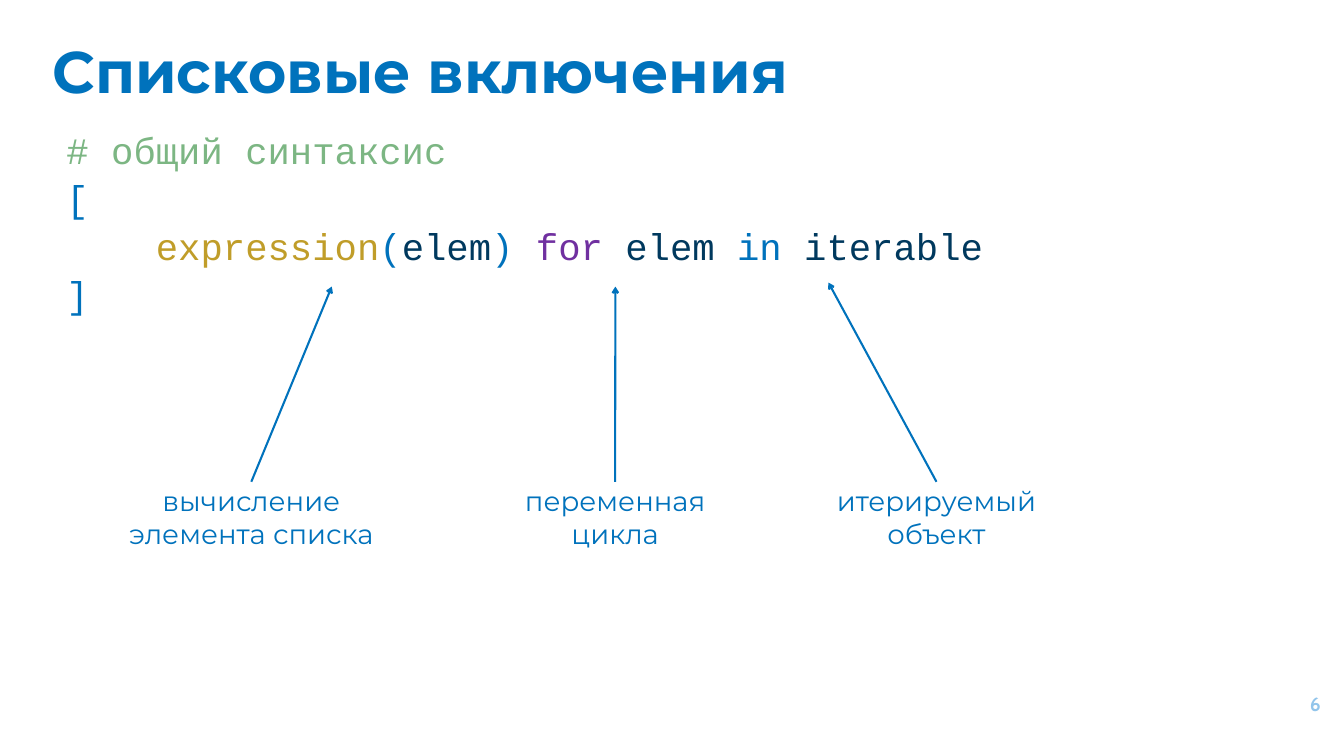
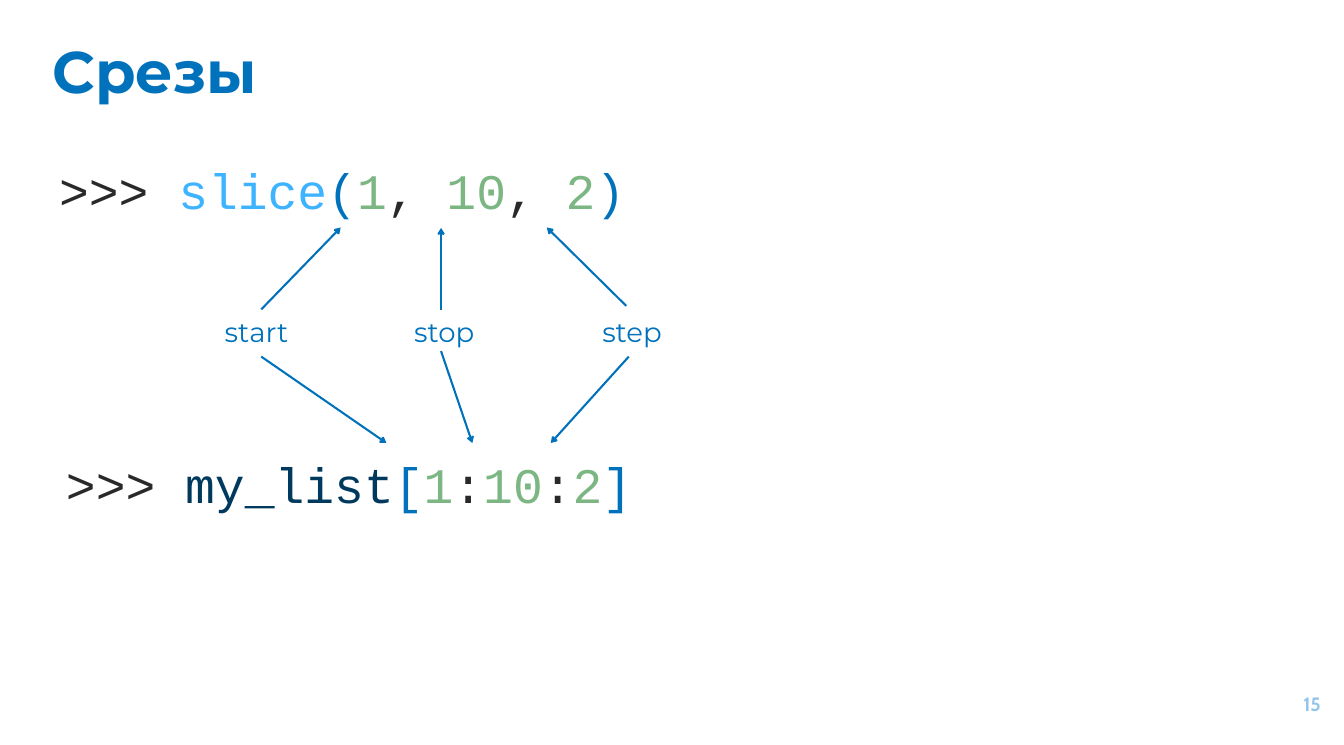
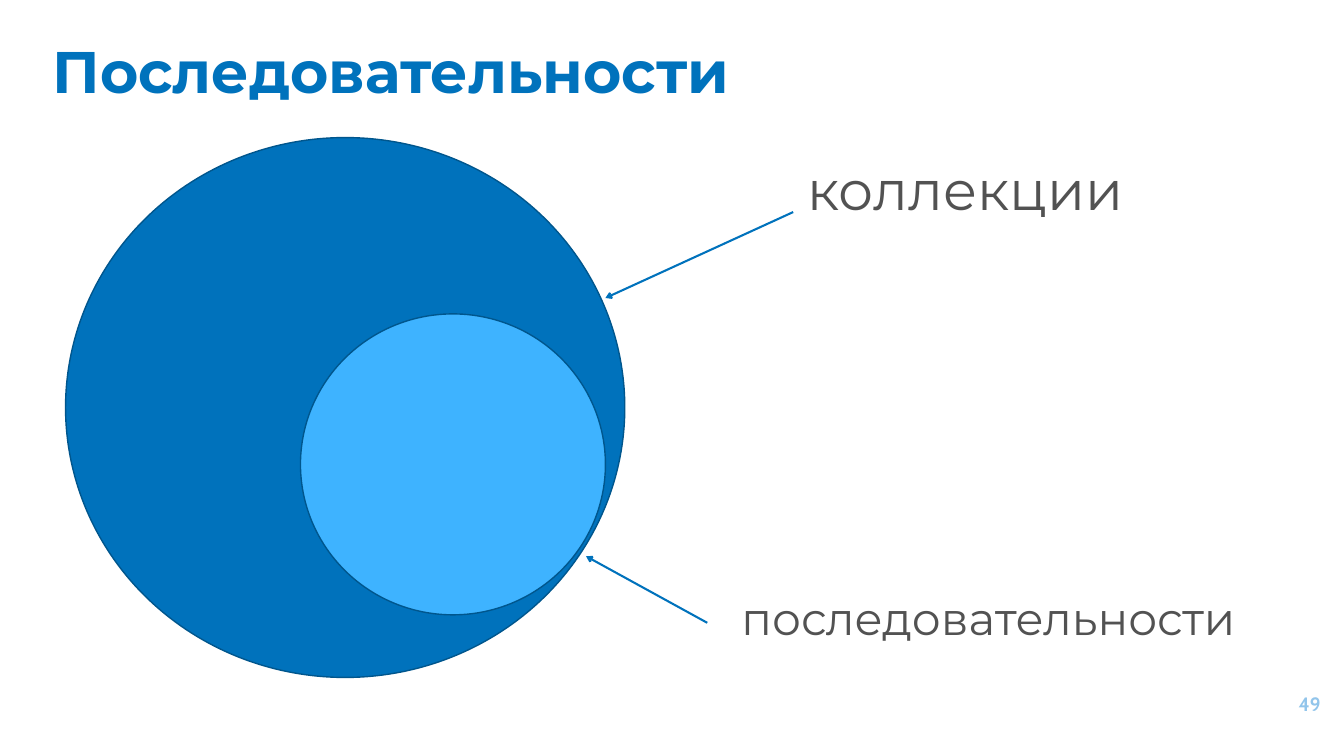
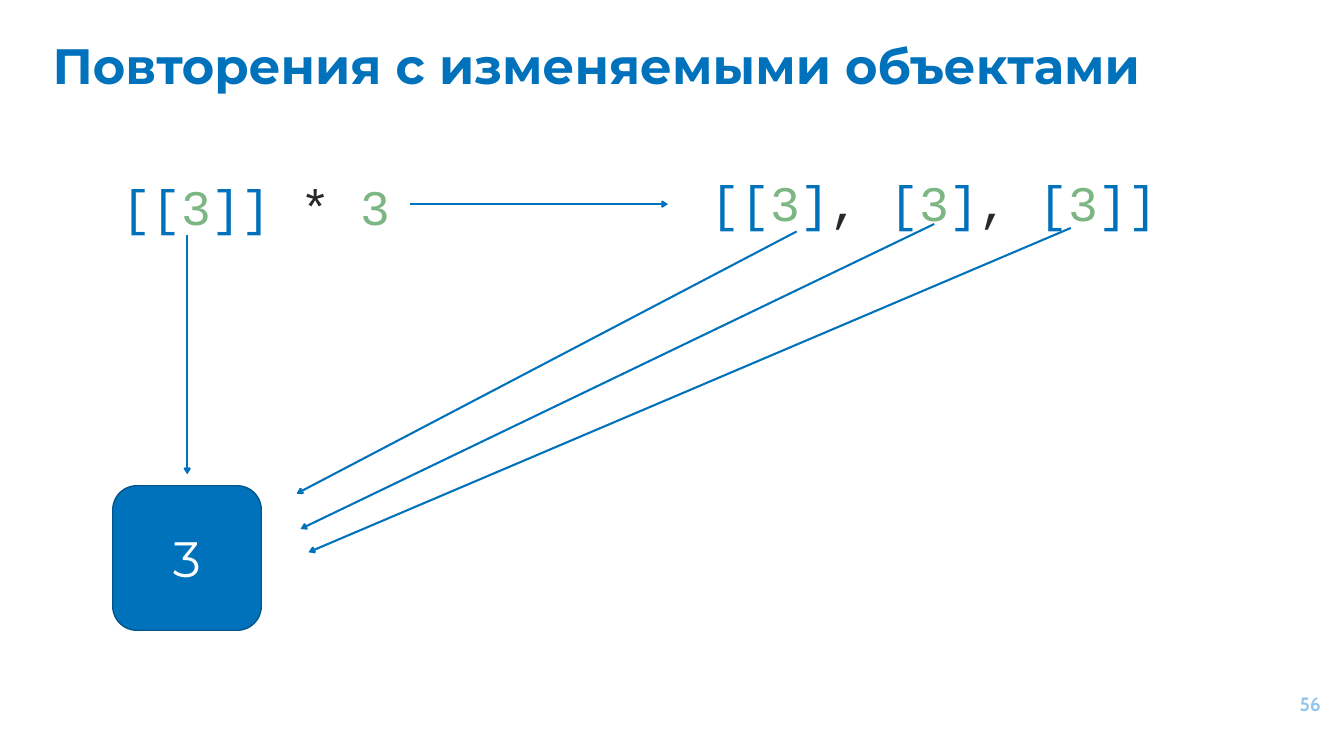
from lxml.etree import SubElement
from pptx import Presentation
from pptx.dml.color import RGBColor
from pptx.enum.shapes import MSO_CONNECTOR as Connector, MSO_SHAPE as Shape
from pptx.enum.text import MSO_ANCHOR as Anchor, MSO_AUTO_SIZE as AutoSize, PP_ALIGN as Align
from pptx.oxml.ns import qn
from pptx.util import Inches, Pt

COLUMNS, ROWS = 27.06, 15
CELL = Inches(1)
TITLE_ONLY = 5
BLUE, SKY, NAVY, EDGE = "0072BC", "3EB3FF", "00395E", "00568D"
GREEN, GOLD, PURPLE = "7CB683", "C09D29", "7030A0"
INK, GREY, PALE, WHITE = "292929", "525252", "92C5EB", "FFFFFF"
SANS, MONO, NUMERAL = "Montserrat", "Courier New", "Cabin"


def grid(*cells):
    return [round(cell * CELL) for cell in cells]


def color(value):
    return RGBColor.from_string(value)


def write(para, text, size=40, font=SANS, ink=BLUE, bold=False):
    span = para.add_run()
    span.text = text
    span.font.size = Pt(size)
    span.font.name = font
    span.font.bold = bold
    span.font.color.rgb = color(ink)


class Lecture:
    """Holds the lecture style and the slide being filled."""

    def __init__(self):
        self.deck = Presentation()
        self.deck.slide_width, self.deck.slide_height = grid(COLUMNS, ROWS)
        self.page = None

    def start(self, title, number, width=23.93, size=85):
        self.page = self.deck.slides.add_slide(self.deck.slide_layouts[TITLE_ONLY])
        heading = self.page.shapes.title
        heading.left, heading.top, heading.width, heading.height = grid(0.96, 0.61, width, 1.92)
        para = self.frame(heading, Align.LEFT, Anchor.TOP, AutoSize.NONE, inset=0.1)
        write(para, title, size=size, bold=True)
        para = self.text_box((25.07, 13.6, 1.62, 1.15), Align.RIGHT, Anchor.MIDDLE,
                             AutoSize.NONE, inset=0.1)[1]
        write(para, str(number), size=28, font=NUMERAL, ink=PALE, bold=True)

    def frame(self, box, align, anchor, fit, inset=0.05):
        frame = box.text_frame
        frame.word_wrap = True
        frame.auto_size = fit
        frame.vertical_anchor = anchor
        frame.margin_top = frame.margin_bottom = Inches(inset)
        frame.margin_left = frame.margin_right = Inches(0.1)
        para = frame.paragraphs[0]
        para.alignment = align
        return para

    def text_box(self, place, align=Align.CENTER, anchor=Anchor.TOP,
                 fit=AutoSize.SHAPE_TO_FIT_TEXT, inset=0.05):
        box = self.page.shapes.add_textbox(*grid(*place))
        return box, self.frame(box, align, anchor, fit, inset)

    def label(self, text, place, **style):
        box, para = self.text_box(place)
        write(para, text, **style)
        return box

    def code(self, lines, place, size=72, align=Align.LEFT, fit=AutoSize.SHAPE_TO_FIT_TEXT):
        box, para = self.text_box(place, align, fit=fit)
        for index, line in enumerate(lines):
            if index:
                para = box.text_frame.add_paragraph()
                para.alignment = align
            para.line_spacing = 1.07
            for text, ink in line:
                write(para, text, size=size, font=MONO, ink=ink)

    def shape(self, kind, place, fill=BLUE, text=""):
        box = self.page.shapes.add_shape(kind, *grid(*place))
        box.shadow.inherit = False
        box.fill.solid()
        box.fill.fore_color.rgb = color(fill)
        box.line.color.rgb = color(EDGE)
        box.line.width = Pt(2)
        if text:
            para = self.frame(box, Align.CENTER, Anchor.MIDDLE, AutoSize.NONE)
            write(para, text, size=72, ink=WHITE)

    def arrow(self, start, end, source=None):
        line = self.page.shapes.add_connector(Connector.STRAIGHT, *grid(*start, *end))
        if source is not None:
            line.begin_connect(source, 0)
        line.line.color.rgb = color(BLUE)
        line.line.width = Pt(3)
        SubElement(line.line._get_or_add_ln(), qn("a:tailEnd"), type="arrow")
        SubElement(line._element.spPr, qn("a:effectLst"))


def comprehensions(lecture):
    lecture.start("Списковые включения", 6, width=16.65)
    lecture.code([
        [("# общий синтаксис", GREEN)],
        [("[", BLUE)],
        [("    ", INK), ("expression", GOLD), ("(", BLUE), ("elem", NAVY), (") ", BLUE),
         ("for ", PURPLE), ("elem ", NAVY), ("in ", BLUE), ("iterable", NAVY)],
        [("]", BLUE)],
    ], (1.24, 2.46, 20.6, 4.02), size=54, fit=AutoSize.NONE)
    top = 9.7
    for text, left, width, tip in [
        ("вычисление элемента списка", 1.8, 6.52, (6.68, 5.77)),
        ("переменная цикла", 10.22, 4.33, (12.39, 5.77)),
        ("итерируемый объект", 16.44, 4.83, (16.68, 5.69)),
    ]:
        box = lecture.label(text, (left, top, width, 1.45))
        lecture.arrow((left + width / 2, top), tip, source=box)


def slices(lecture):
    lecture.start("Срезы", 15)
    lecture.code([[(">>> ", INK), ("slice", SKY), ("(", BLUE), ("1", GREEN), (", ", INK),
                   ("10", GREEN), (", ", INK), ("2", GREEN), (")", BLUE)]],
                 (1.09, 3.09, 14.52, 1.31))
    lecture.code([[(">>> ", INK), ("my_list", NAVY), ("[", BLUE), ("1", GREEN), (":", INK),
                   ("10", GREEN), (":", INK), ("2", GREEN), ("]", BLUE)]],
                 (1.23, 9, 14.52, 1.31))
    for index, (name, above, call, below, item) in enumerate([
        ("start", (5.26, 6.23), (6.86, 4.58), (5.26, 7.18), (7.78, 8.92)),
        ("stop", (8.88, 6.24), (8.88, 4.59), (8.88, 7.07), (9.51, 8.92)),
        ("step", (12.61, 6.16), (11.01, 4.58), (12.66, 7.18), (11.09, 8.92)),
    ]):
        lecture.label(name, (4.08 + 3.78 * index, 6.3, 2.17, 0.77))
        lecture.arrow(above, call)
        lecture.arrow(below, item)


def sequences(lecture):
    lecture.start("Последовательности", 49)
    lecture.shape(Shape.OVAL, (1.32, 2.77, 11.26, 10.87))
    lecture.shape(Shape.OVAL, (6.05, 6.32, 6.14, 6.06), fill=SKY)
    lecture.label("коллекции", (14.87, 3.08, 9.13, 1.45), size=80, ink=GREY)
    lecture.label("последовательности", (13.92, 11.83, 11.96, 1.21), size=66, ink=GREY)
    lecture.arrow((15.97, 4.27), (12.19, 6))
    lecture.arrow((14.24, 12.54), (11.8, 11.2))


def repetitions(lecture):
    lecture.start("Повторения с изменяемыми объектами", 56, width=24.69, size=72)
    lecture.code([[("[[", BLUE), ("3", GREEN), ("]] ", BLUE), ("*", INK), (" 3", GREEN)]],
                 (2.35, 3.4, 5.92, 1.31))
    lecture.shape(Shape.ROUNDED_RECTANGLE, (2.27, 9.78, 2.99, 2.91), text="3")
    item = [("3", GREEN), ("]", BLUE), (",", INK), (" [", BLUE)]
    lecture.code([[("[[", BLUE), *item, *item, ("3", GREEN), ("]]", BLUE)]],
                 (13.84, 3.33, 9.93, 1.31), align=Align.CENTER)
    for start, end in [
        ((3.77, 4.74), (3.77, 9.55)),
        ((16.04, 4.66), (5.97, 9.94)),
        ((18.81, 4.51), (6.05, 10.65)),
        ((21.56, 4.59), (6.21, 11.12)),
        ((8.25, 4.11), (13.45, 4.11)),
    ]:
        lecture.arrow(start, end)


def main():
    lecture = Lecture()
    for fill_page in (comprehensions, slices, sequences, repetitions):
        fill_page(lecture)
    lecture.deck.save("out.pptx")


if __name__ == "__main__":
    main()
